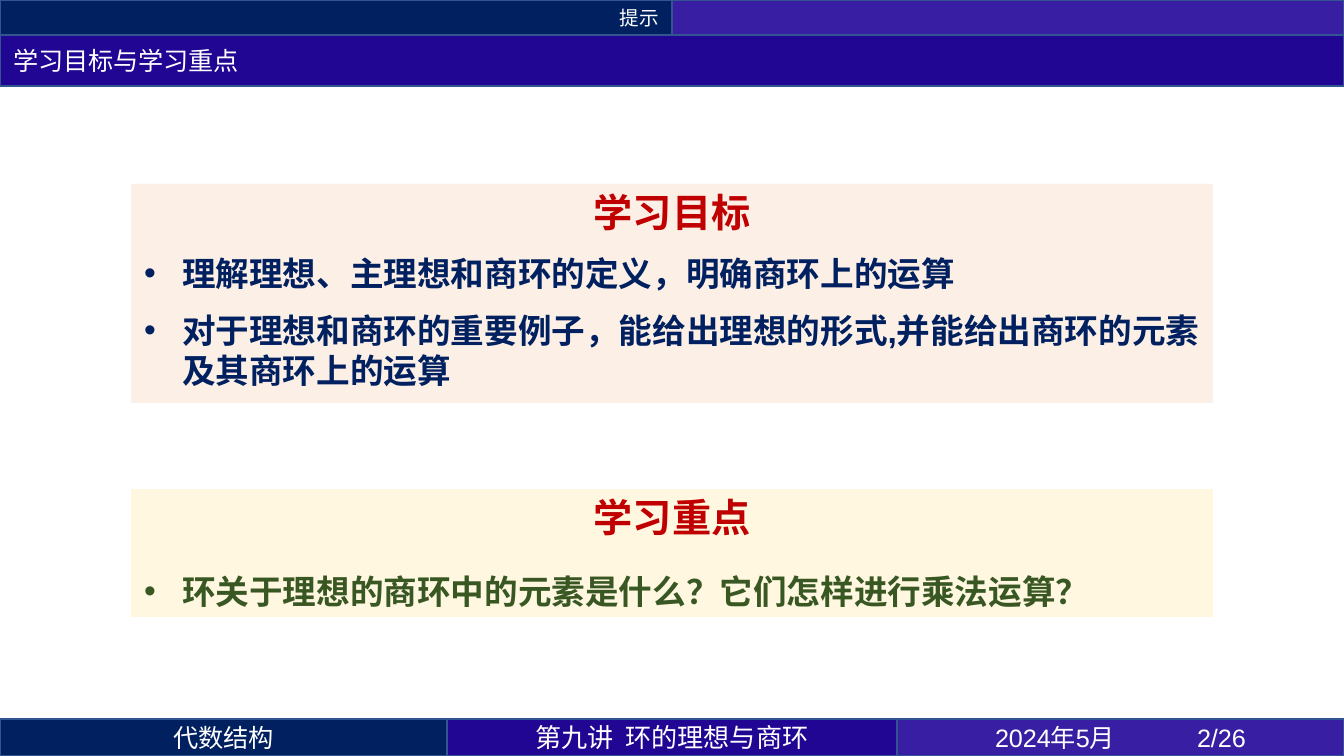
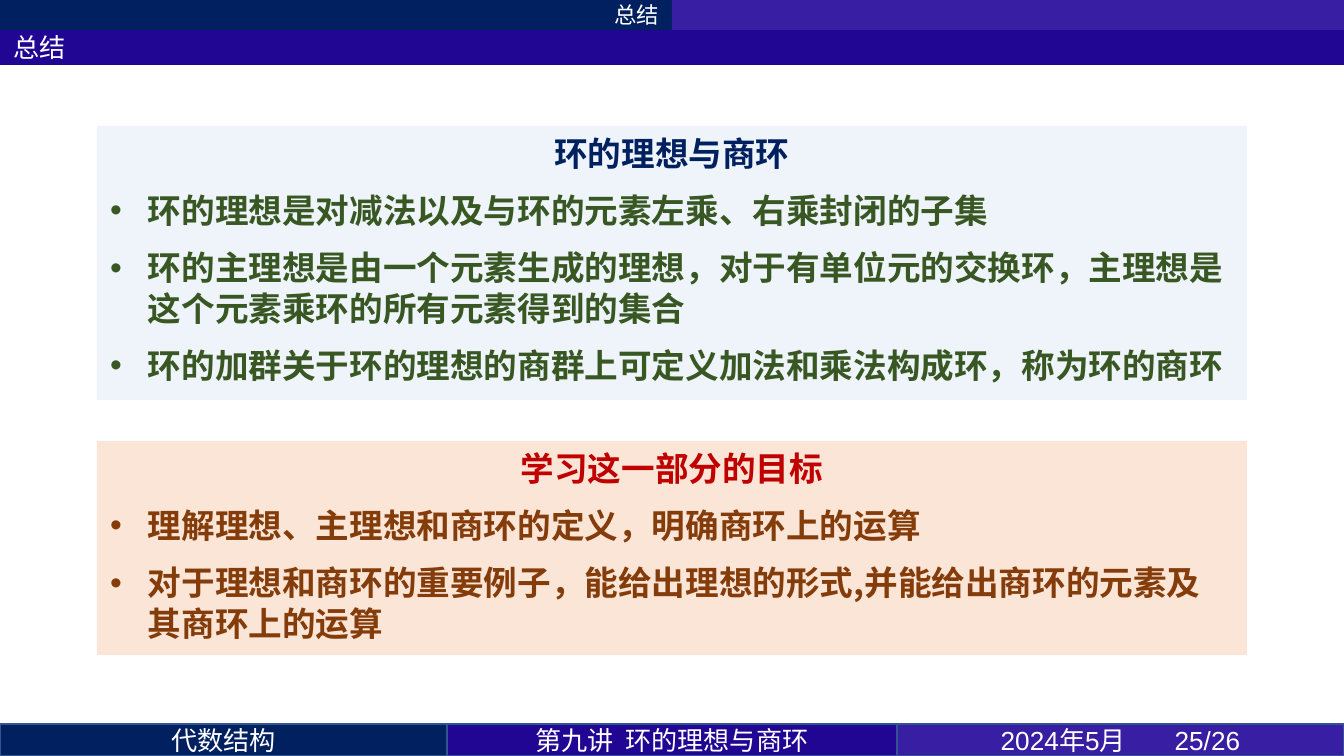
from pptx import Presentation
from pptx.dml.color import RGBColor
from pptx.enum.shapes import MSO_SHAPE
from pptx.enum.text import MSO_ANCHOR, MSO_AUTO_SIZE, PP_ALIGN
from pptx.oxml.ns import qn
from pptx.util import Emu, Pt
from lxml.etree import SubElement

WIDE, HIGH = 1344, 756
SCALE = 9144000 / WIDE
CJK = "Noto Sans CJK SC"
COLORS = {
    "navy": "002060", "violet": "371EA2", "indigo": "210694",
    "edge": "325491", "white": "FFFFFF", "red": "C00000",
    "green": "385723", "brown": "843C0B", "peach": "FBE5D6",
    "cream": "FFF2CC", "sky": "DEEBF7",
}
GOALS = [
    "理解理想、主理想和商环的定义，明确商环上的运算",
    "对于理想和商环的重要例子，能给出理想的形式,并能给出商环的元素及其商环上的运算",
]


def px(n):
    return Emu(round(n * SCALE))


def tint(name):
    return RGBColor.from_string(COLORS[name])


def place(shape, box):
    shape.left, shape.top, shape.width, shape.height = map(px, box)


def paint(shape, fill, edge=False, alpha=100):
    shape.fill.solid()
    shape.fill.fore_color.rgb = tint(fill)
    if alpha < 100:
        color = shape.fill._xPr.find(qn("a:solidFill"))[0]
        SubElement(color, qn("a:alpha"), val=str(alpha * 1000))
    if edge:
        shape.line.color.rgb = tint("edge")
        shape.line.width = Pt(1)
    else:
        shape.line.fill.background()


def style(para, size, color, face=CJK, bold=False, align=PP_ALIGN.LEFT):
    para.alignment = align
    for run in para.runs:
        font = run.font
        font.size, font.bold, font.name = Pt(size), bold, face
        font.color.rgb = tint(color)
        SubElement(font._element, qn("a:ea"), typeface=CJK)


def label(shape, text, size, align, face=CJK):
    frame = shape.text_frame
    frame.text = text
    frame.word_wrap = True
    frame.auto_size = MSO_AUTO_SIZE.NONE
    frame.vertical_anchor = MSO_ANCHOR.MIDDLE
    frame.margin_left = frame.margin_right = px(13)
    frame.margin_top = frame.margin_bottom = 0
    style(frame.paragraphs[0], size, "white", face, align=align)


def band(slide, box, fill, edge):
    shape = slide.shapes.add_shape(MSO_SHAPE.RECTANGLE, *map(px, box))
    shape.shadow.inherit = False
    paint(shape, fill, edge)
    return shape


def header(slide, part, title, top, tall, sizes, edge):
    half = WIDE // 2
    left = band(slide, (0, 0, half, top), "navy", edge)
    label(left, part, sizes[0], PP_ALIGN.RIGHT)
    band(slide, (half, 0, half, top), "violet", edge)
    bar = slide.shapes.title
    place(bar, (0, top, WIDE, tall))
    paint(bar, "indigo", edge)
    label(bar, title, sizes[1], PP_ALIGN.LEFT, "Calibri")


def footer(slide, page, top, size, stop):
    tall = HIGH - top
    cells = [
        (0, 447, "navy", "代数结构", size, CJK),
        (447, 450, "indigo", "第九讲  环的理想与商环", 14, CJK),
        (897, 447, "violet", f"2024年5月\t{page}/26", size, "Arial"),
    ]
    for left, width, fill, text, points, face in cells:
        cell = band(slide, (left, top, width, tall), fill, True)
        label(cell, text, points, PP_ALIGN.CENTER, face)
    props = cell.text_frame.paragraphs[0]._p.get_or_add_pPr()
    tabs = SubElement(props, qn("a:tabLst"))
    SubElement(tabs, qn("a:tab"), pos=str(px(stop)), algn="l")


def space(para, pitch, before):
    para.line_spacing = Pt(pitch)
    para.space_before, para.space_after = Pt(before), Pt(4.5)


def bullet(para, dent):
    props = para._p.get_or_add_pPr()
    props.set("marL", str(px(dent)))
    props.set("indent", str(-px(dent)))
    if dent:
        SubElement(props, qn("a:buFont"), typeface="Arial")
        SubElement(props, qn("a:buChar"), char="•")
    else:
        SubElement(props, qn("a:buNone"))


def panel(shape, box, fill, alpha, head, items, face="Arial", before=4.5, pitch=21.6):
    place(shape, box)
    paint(shape, fill, alpha=alpha)
    frame = shape.text_frame
    frame.word_wrap = True
    frame.auto_size = MSO_AUTO_SIZE.NONE
    frame.vertical_anchor = MSO_ANCHOR.TOP
    frame.margin_left = frame.margin_right = px(13)
    frame.margin_top = frame.margin_bottom = px(7)
    text, size, color, font = head
    first = frame.paragraphs[0]
    first.text = text
    space(first, 24 if size > 18 else 21.6, before)
    bullet(first, 0)
    style(first, size, color, font, True, PP_ALIGN.CENTER)
    lines, color = items
    for line in lines:
        para = frame.add_paragraph()
        para.text = line
        space(para, pitch, before)
        bullet(para, 38)
        style(para, 18, color, face, True)


def goals(deck):
    slide = deck.slides.add_slide(deck.slide_layouts[3])
    header(slide, "提示", "学习目标与学习重点", 35, 51, (10.5, 13.5), True)
    panel(slide.placeholders[1], (131, 184, 1082, 219), "peach", 60,
          ("学习目标", 21, "red", CJK), (GOALS, "navy"))
    focus = ["环关于理想的商环中的元素是什么？它们怎样进行乘法运算？"]
    panel(slide.placeholders[2], (131, 489, 1082, 128), "cream", 60,
          ("学习重点", 21, "red", CJK), (focus, "green"), before=9, pitch=24)
    footer(slide, 2, 719, 13.5, 202)


def recap(deck):
    slide = deck.slides.add_slide(deck.slide_layouts[3])
    header(slide, "总结", "总结", 30, 35, (12, 14), False)
    points = [
        "环的理想是对减法以及与环的元素左乘、右乘封闭的子集",
        "环的主理想是由一个元素生成的理想，对于有单位元的交换环，主理想是这个元素乘环的所有元素得到的集合",
        "环的加群关于环的理想的商群上可定义加法和乘法构成环，称为环的商环",
    ]
    panel(slide.placeholders[1], (97, 126, 1150, 274), "sky", 50,
          ("环的理想与商环", 18, "navy", "Calibri"), (points, "green"), CJK)
    panel(slide.placeholders[2], (97, 441, 1150, 214), "peach", 100,
          ("学习这一部分的目标", 18, "red", "Calibri"), (GOALS, "brown"), CJK)
    footer(slide, 25, 724, 14, 174)


def main():
    deck = Presentation()
    deck.slide_width, deck.slide_height = px(WIDE), px(HIGH)
    goals(deck)
    recap(deck)
    deck.save("out.pptx")


if __name__ == "__main__":
    main()
